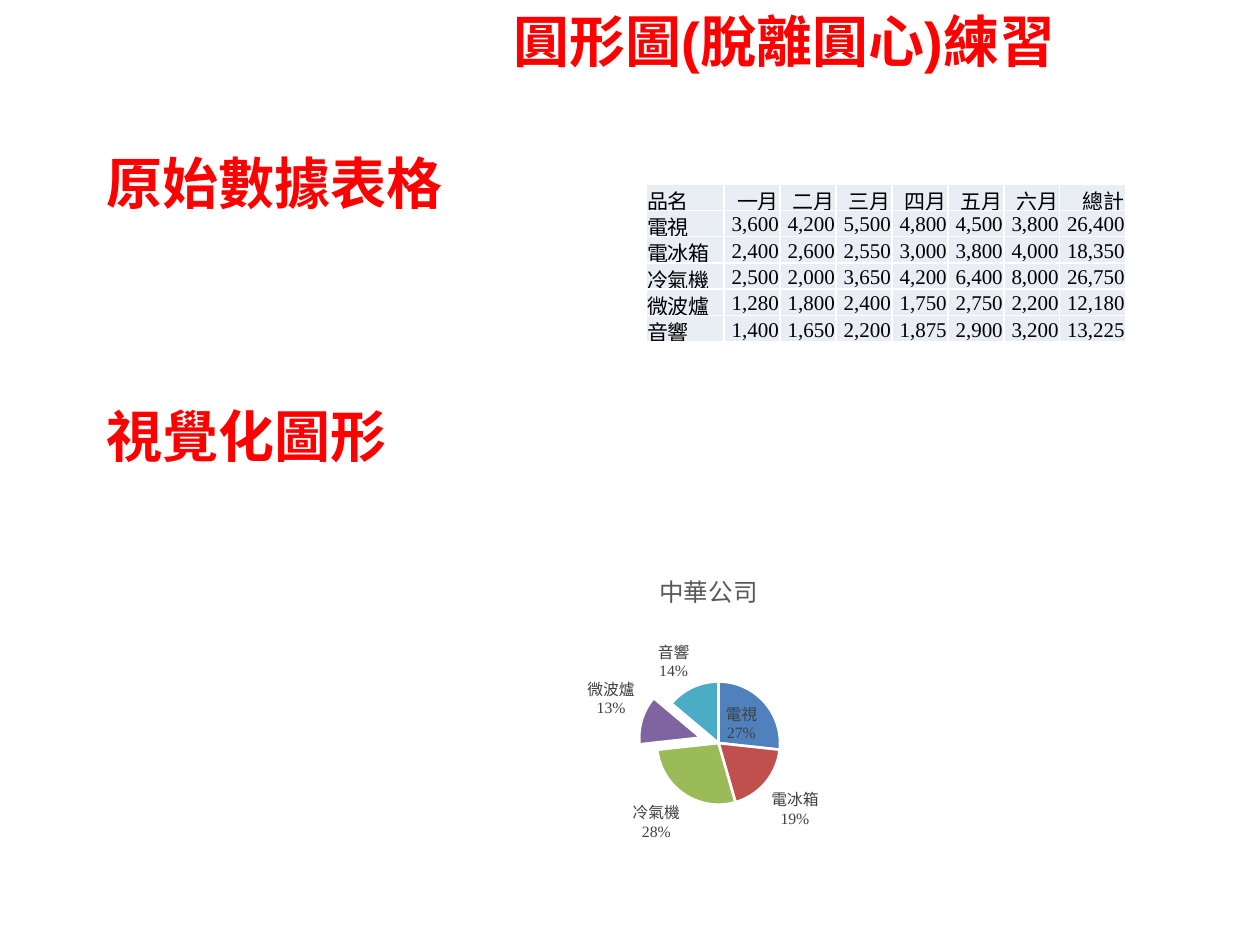
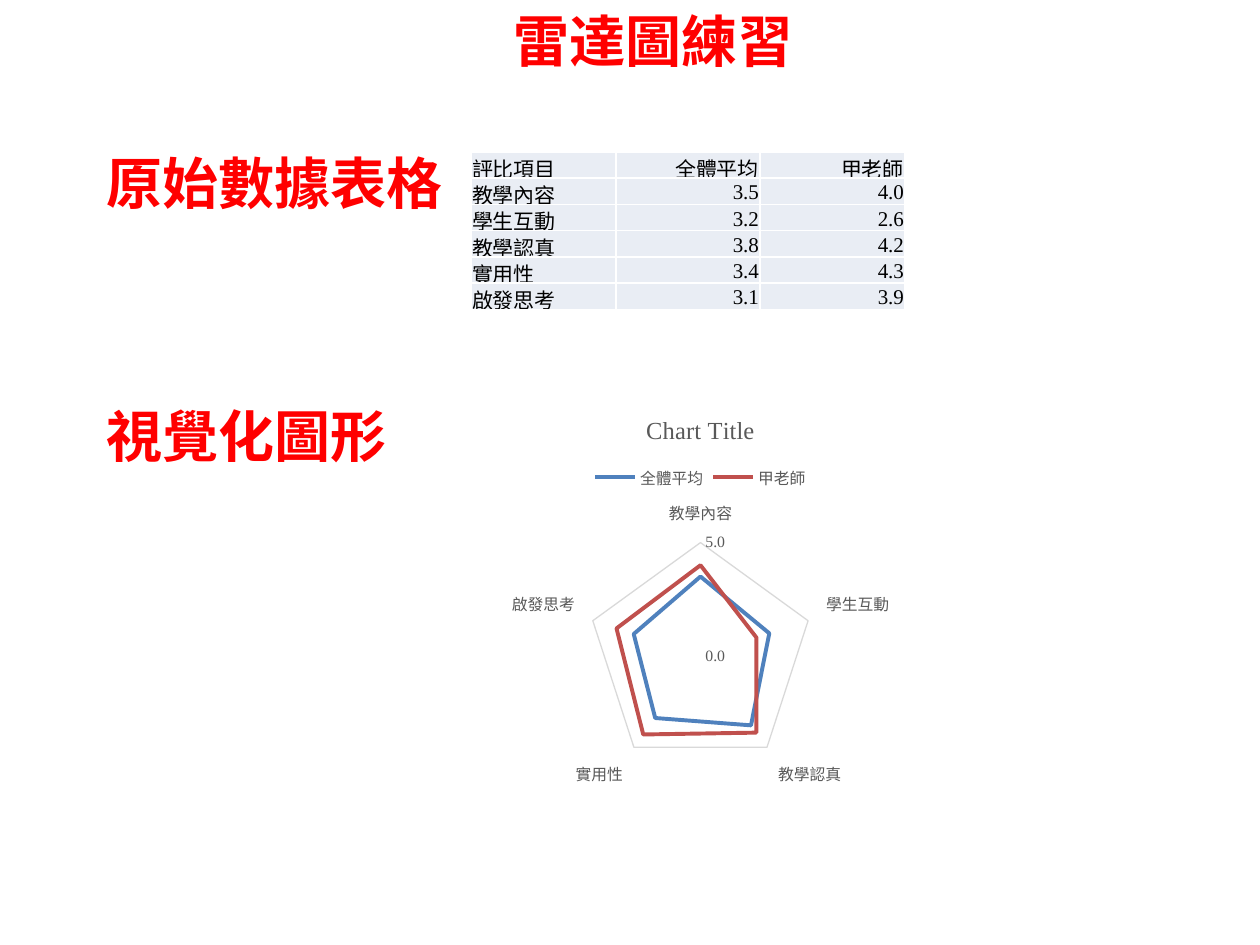
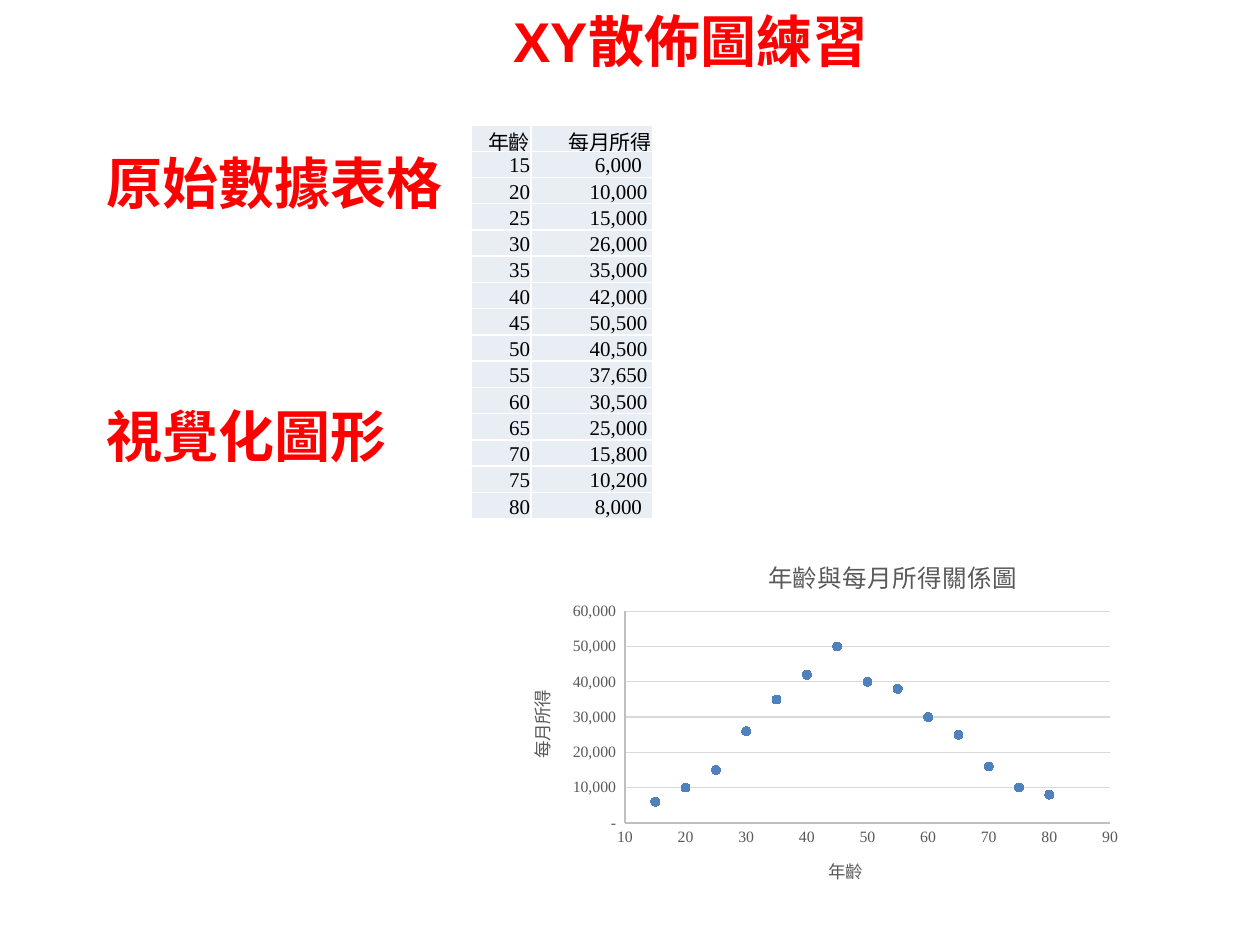
from lxml import etree
from pptx import Presentation
from pptx.chart.data import CategoryChartData, XyChartData
from pptx.dml.color import RGBColor
from pptx.enum.chart import (XL_CHART_TYPE, XL_LABEL_POSITION, XL_LEGEND_POSITION,
                             XL_MARKER_STYLE, XL_TICK_MARK)
from pptx.enum.text import MSO_ANCHOR, MSO_AUTO_SIZE, PP_ALIGN
from pptx.oxml import parse_xml
from pptx.oxml.ns import nsdecls, qn
from pptx.util import Pt

# Shared scale, fonts and colours
EMU_PER_PIXEL = 914400 / 126
HEADING_FONT, BODY_FONT = "Arial", "Times New Roman"
RED, BLACK, WHITE, CELL = "FF0000", "000000", "FFFFFF", "E9EDF4"
GREY, LABEL_GREY, GRID, AXIS = "595959", "404040", "D9D9D9", "BFBFBF"
PALETTE = ["4F81BD", "C0504D", "9BBB59", "8064A2", "4BACC6"]
LEFT, CENTER, RIGHT = PP_ALIGN.LEFT, PP_ALIGN.CENTER, PP_ALIGN.RIGHT
NO_TICK = XL_TICK_MARK.NONE

# Table data
SALES = [
    ["品名", "一月", "二月", "三月", "四月", "五月", "六月", "總計"],
    ["電視", "3,600", "4,200", "5,500", "4,800", "4,500", "3,800", "26,400"],
    ["電冰箱", "2,400", "2,600", "2,550", "3,000", "3,800", "4,000", "18,350"],
    ["冷氣機", "2,500", "2,000", "3,650", "4,200", "6,400", "8,000", "26,750"],
    ["微波爐", "1,280", "1,800", "2,400", "1,750", "2,750", "2,200", "12,180"],
    ["音響", "1,400", "1,650", "2,200", "1,875", "2,900", "3,200", "13,225"],
]
SALES_SHARES = [27, 19, 28, 13, 14]
RATINGS = [
    ["評比項目", "全體平均", "甲老師"],
    ["教學內容", "3.5", "4.0"],
    ["學生互動", "3.2", "2.6"],
    ["教學認真", "3.8", "4.2"],
    ["實用性", "3.4", "4.3"],
    ["啟發思考", "3.1", "3.9"],
]
AGES = range(15, 81, 5)
INCOMES = [6000, 10000, 15000, 26000, 35000, 42000, 50500,
           40500, 37650, 30500, 25000, 15800, 10200, 8000]


def px(pixels):
    return round(pixels * EMU_PER_PIXEL)


def color(value):
    return RGBColor.from_string(value)


def set_all(target, values):
    for name, value in values.items():
        setattr(target, name, value)


def style_font(font, size, shade, name=BODY_FONT, bold=False):
    set_all(font, {"size": Pt(size), "name": name, "bold": bold})
    font.color.rgb = color(shade)


def style_line(line, shade, width):
    line.color.rgb = color(shade)
    line.width = Pt(width)


# Headings
def add_heading(page, text, left, top, width):
    box = page.shapes.add_textbox(px(left), px(top), px(width), px(81))
    set_all(box.text_frame, {"word_wrap": True,
                             "auto_size": MSO_AUTO_SIZE.SHAPE_TO_FIT_TEXT})
    span = box.text_frame.paragraphs[0].add_run()
    span.text = text
    style_font(span.font, 32, RED, HEADING_FONT, True)


def add_page(deck, title):
    page = deck.slides.add_slide(deck.slide_layouts[6])
    add_heading(page, title, 501, 0, 625)
    add_heading(page, "原始數據表格", 94, 142, 377)
    add_heading(page, "視覺化圖形", 94, 395, 377)
    return page


# Tables
def add_borders(cell):
    properties = cell._tc.get_or_add_tcPr()
    for side in "LRTB":
        properties.append(parse_xml(
            f'<a:ln{side} {nsdecls("a")} w="12700"><a:solidFill>'
            f'<a:srgbClr val="{WHITE}"/></a:solidFill></a:ln{side}>'))


def fill_cell(cell, text, align):
    add_borders(cell)
    cell.fill.solid()
    cell.fill.fore_color.rgb = color(CELL)
    set_all(cell, {"vertical_anchor": MSO_ANCHOR.BOTTOM, "margin_left": px(1),
                   "margin_right": px(1), "margin_top": px(1), "margin_bottom": 0})
    para = cell.text_frame.paragraphs[0]
    para.alignment = align
    span = para.add_run()
    span.text = text
    style_font(span.font, 12, BLACK)


def add_grid(page, rows, left, top, widths, height, first_align=LEFT):
    frame = page.shapes.add_table(len(rows), len(widths), px(left), px(top),
                                  px(sum(widths)), px(height))
    table = frame.table
    set_all(table, {"first_row": False, "horz_banding": False})
    for column, width in zip(table.columns, widths):
        column.width = px(width)
    for row, texts in zip(table.rows, rows):
        row.height = px(height / len(rows))
        for index, (cell, text) in enumerate(zip(row.cells, texts)):
            fill_cell(cell, text, RIGHT if index else first_align)
    return table


# Charts
def add_graph(page, kind, data, left, top, width, height):
    chart = page.shapes.add_chart(kind, px(left), px(top), px(width),
                                  px(height), data).chart
    style_font(chart.font, 10, BLACK)
    chart.has_legend = False
    return chart


def set_title(title, text, size):
    para = title.text_frame.paragraphs[0]
    span = para.add_run()
    span.text = text
    style_font(span.font, size, GREY)


def style_axis(axis, number_format, line=None, grid=False, **scale):
    set_all(axis, {"major_tick_mark": NO_TICK, "minor_tick_mark": NO_TICK,
                   "has_major_gridlines": grid, **scale})
    set_all(axis.tick_labels, {"number_format": number_format,
                               "number_format_is_linked": False})
    style_font(axis.tick_labels.font, 9, GREY)
    if line:
        style_line(axis.format.line, line, 0.75)
    else:
        axis.format.line.fill.background()
    if grid:
        style_line(axis.major_gridlines.format.line, GRID, 0.75)


def show_name_and_percent(labels):
    """Show category and percentage on two lines."""
    for tag, shown in {"showVal": 0, "showCatName": 1, "showPercent": 1}.items():
        labels.find(qn("c:" + tag)).set("val", str(shown))
    separator = etree.Element(qn("c:separator"))
    separator.text = "\n"
    last_flag = labels.find(qn("c:showBubbleSize"))
    if last_flag is None:
        last_flag = labels.find(qn("c:showPercent"))
    last_flag.addnext(separator)


def make_layout(target="", **fractions):
    parts = "".join(f'<c:{name} val="{value}"/>' for name, value in fractions.items())
    return parse_xml(
        f'<c:layout {nsdecls("c")}><c:manualLayout>{target}'
        f'<c:xMode val="edge"/><c:yMode val="edge"/>{parts}'
        '</c:manualLayout></c:layout>')


def remove_layout(element):
    for old in element.findall(qn("c:layout")):
        element.remove(old)


def place_plot(chart, **fractions):
    area = chart._chartSpace.chart.plotArea
    remove_layout(area)
    area.insert(0, make_layout('<c:layoutTarget val="inner"/>', **fractions))


def place_title(title, **fractions):
    remove_layout(title._element)
    title._element.find(qn("c:tx")).addnext(make_layout(**fractions))


def add_sales_pie(page):
    data = CategoryChartData()
    data.categories = [row[0] for row in SALES[1:]]
    data.add_series("Series 1", SALES_SHARES)
    chart = add_graph(page, XL_CHART_TYPE.PIE, data, 471, 552, 476, 316)
    set_title(chart.chart_title, "中華公司", 14)
    place_plot(chart, x=0.39, y=0.41, w=0.26, h=0.39)
    plot = chart.plots[0]
    plot.vary_by_categories = True
    series = plot.series[0]
    for index, shade in enumerate(PALETTE):
        slice_format = series.points[index].format
        slice_format.fill.solid()
        slice_format.fill.fore_color.rgb = color(shade)
        style_line(slice_format.line, WHITE, 1.5)
    # The microwave slice is pulled out
    pulled = series._element.findall(qn("c:dPt"))[3]
    explosion = etree.Element(qn("c:explosion"), val="30")
    pulled.find(qn("c:spPr")).addprevious(explosion)
    # Labels sit outside, except the first
    labels = series.data_labels
    set_all(labels, {"number_format": "0%", "number_format_is_linked": False,
                     "position": XL_LABEL_POSITION.OUTSIDE_END})
    style_font(labels.font, 9, LABEL_GREY)
    show_name_and_percent(labels._element)
    inner = series.points[0].data_label
    style_font(inner.font, 9, LABEL_GREY)
    inner.position = XL_LABEL_POSITION.CENTER
    show_name_and_percent(labels._element.find(qn("c:dLbl")))


def add_rating_radar(page):
    data = CategoryChartData(number_format="0.0")
    data.categories = [row[0] for row in RATINGS[1:]]
    for column in (1, 2):
        data.add_series(RATINGS[0][column], [float(row[column]) for row in RATINGS[1:]])
    chart = add_graph(page, XL_CHART_TYPE.RADAR, data, 434, 395, 533, 398)
    set_title(chart.chart_title, "Chart Title", 14)
    chart.has_legend = True
    set_all(chart.legend, {"position": XL_LEGEND_POSITION.TOP,
                           "include_in_layout": False})
    style_font(chart.legend.font, 9, GREY)
    style_axis(chart.category_axis, "General", GRID)
    style_axis(chart.value_axis, "0.0", grid=True,
               minimum_scale=0, maximum_scale=5, major_unit=5)
    plot = chart.plots[0]
    plot.vary_by_categories = False
    for series, shade in zip(plot.series, PALETTE):
        series.smooth = False
        series.marker.style = XL_MARKER_STYLE.NONE
        style_line(series.format.line, shade, 2.25)


def add_income_scatter(page):
    data = XyChartData()
    points = data.add_series("Series 1")
    for age, income in zip(AGES, INCOMES):
        points.add_data_point(age, round(income, -3))
    chart = add_graph(page, XL_CHART_TYPE.XY_SCATTER, data, 499, 532, 630, 378)
    set_title(chart.chart_title, "年齡與每月所得關係圖", 14)
    place_title(chart.chart_title, x=0.42, y=0.05)
    style_axis(chart.category_axis, "General", AXIS,
               minimum_scale=10, maximum_scale=90, major_unit=10)
    style_axis(chart.value_axis, '#,##0_-;-#,##0_-;"-"_-', AXIS, True,
               minimum_scale=0, maximum_scale=60000, major_unit=10000)
    set_title(chart.category_axis.axis_title, "年齡", 10)
    income_title = chart.value_axis.axis_title
    set_title(income_title, "每月所得", 10)
    income_title._element.find(".//" + qn("a:bodyPr")).set("rot", "-5400000")
    place_plot(chart, x=0.2, y=0.21, w=0.77, h=0.56)
    plot = chart.plots[0]
    plot.vary_by_categories = False
    series = plot.series[0]
    series.format.line.fill.background()
    set_all(series.marker, {"style": XL_MARKER_STYLE.CIRCLE, "size": 5})
    series.marker.format.fill.solid()
    series.marker.format.fill.fore_color.rgb = color(PALETTE[0])
    style_line(series.marker.format.line, PALETTE[0], 0.75)


def add_income_table(page):
    rows = [["年齡", "每月所得"]]
    rows += [[str(age), f"{income:,}"] for age, income in zip(AGES, INCOMES)]
    table = add_grid(page, rows, 471, 125, [60, 122], 394, RIGHT)
    # Amounts are centred in the right part of their column
    for index in range(1, len(rows)):
        cell = table.cell(index, 1)
        cell.margin_left = px(54)
        cell.text_frame.paragraphs[0].alignment = CENTER


def main():
    deck = Presentation()
    set_all(deck, {"slide_width": px(1260), "slide_height": px(945)})

    page = add_page(deck, "圓形圖(脫離圓心)練習")
    add_sales_pie(page)
    add_grid(page, SALES, 646, 184, [78] + [56] * 6 + [66], 158)

    page = add_page(deck, "雷達圖練習")
    add_grid(page, RATINGS, 471, 152, [145, 144, 145], 157)
    add_rating_radar(page)

    page = add_page(deck, "XY散佈圖練習")
    add_income_table(page)
    add_income_scatter(page)

    deck.save("out.pptx")


main()
